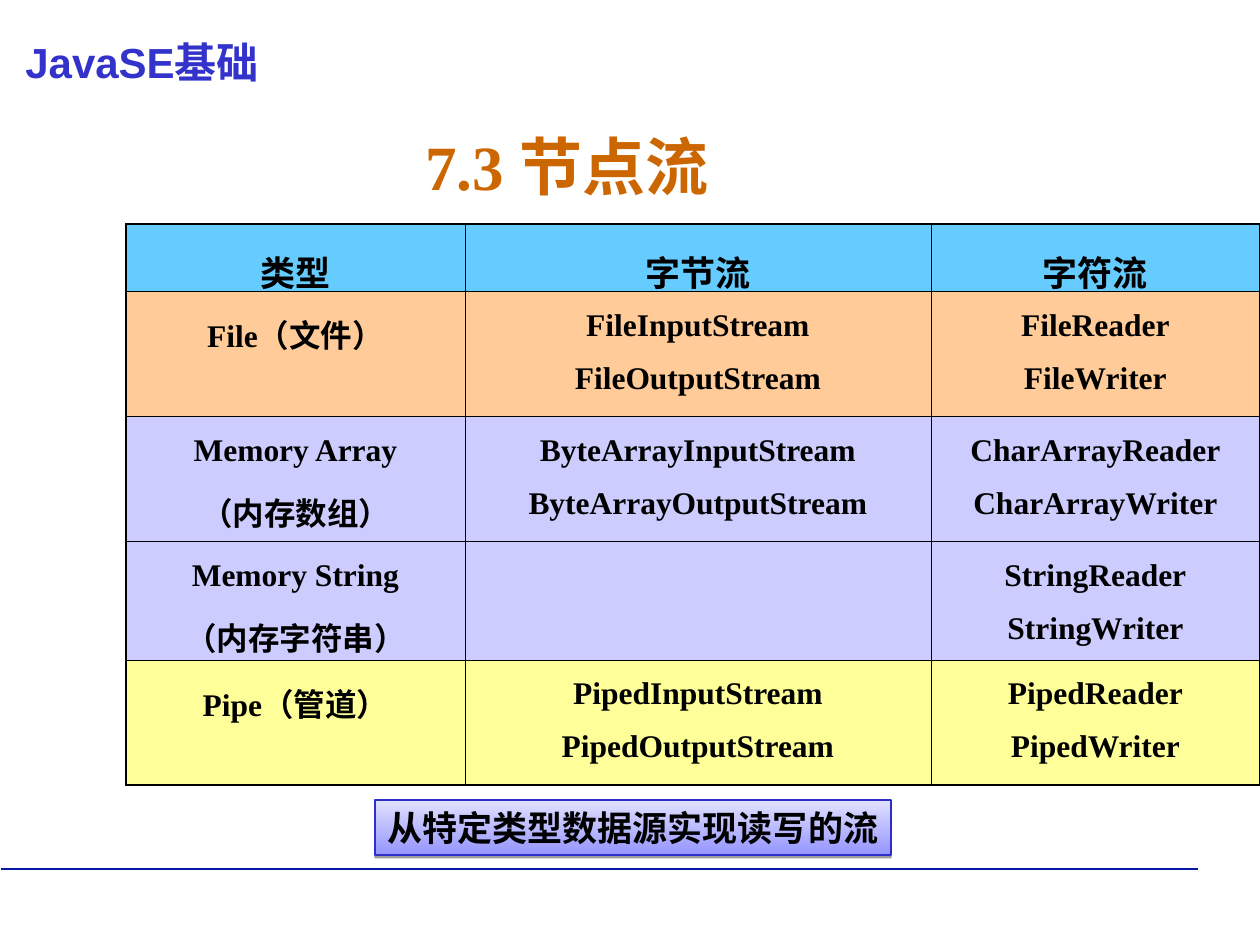
import dataclasses

import lxml.etree
import pptx
import pptx.dml.color
import pptx.enum.shapes
import pptx.enum.text
import pptx.oxml
import pptx.oxml.ns
import pptx.util

SCALE = 914400 / 126
SERIF, SANS = "Times New Roman", "Arial"
ALIGN = pptx.enum.text.PP_ALIGN
ANCHOR = pptx.enum.text.MSO_ANCHOR
COLORS = {
    "black": "000000", "blue": "3333CC", "rule": "061AAA", "title": "CC6600",
    "sky": "66CCFF", "peach": "FFCC99", "lilac": "CCCCFF", "lemon": "FFFF99",
    "deep": "9595FF", "pale": "E1E1FF", "edge": "2E2ECB",
}


@dataclasses.dataclass
class Box:
    left: int
    top: int
    width: int
    height: int

    def emu(self) -> list:
        return [px(n) for n in dataclasses.astuple(self)]


@dataclasses.dataclass
class Row:
    height: int
    fill: str
    size: int
    cells: list


COLS = [339, 466, 329]
ROWS = [
    Row(67, "sky", 20, ["类型", "字节流", "字符流"]),
    Row(125, "peach", 18, ["File（文件）", "FileInputStream\nFileOutputStream",
                           "FileReader\nFileWriter"]),
    Row(125, "lilac", 18, ["Memory Array\n（内存数组）",
                           "ByteArrayInputStream\nByteArrayOutputStream",
                           "CharArrayReader\nCharArrayWriter"]),
    Row(118, "lilac", 18, ["Memory String\n（内存字符串）", "",
                           "StringReader\nStringWriter"]),
    Row(125, "lemon", 18, ["Pipe（管道）", "PipedInputStream\nPipedOutputStream",
                           "PipedReader\nPipedWriter"]),
]


def px(count: int) -> int:
    return round(count * SCALE)


def rgb(name: str) -> pptx.dml.color.RGBColor:
    return pptx.dml.color.RGBColor.from_string(COLORS[name])


def write(frame, text: str, *, size: int, font: str = SERIF, color: str = "black",
          align=ALIGN.CENTER, lead: float = 1.0, gap: float = 0) -> None:
    for i, line in enumerate(text.split("\n")):
        para = frame.paragraphs[0] if i == 0 else frame.add_paragraph()
        para.alignment = align
        para.line_spacing = lead
        if i:
            para.space_before = pptx.util.Pt(gap)
        if line:
            para.add_run().text = line
        para.font.name, para.font.size, para.font.bold = font, pptx.util.Pt(size), True
        para.font.color.rgb = rgb(color)
        for run in para.runs:
            run.font.name, run.font.size, run.font.bold = font, pptx.util.Pt(size), True
            run.font.color.rgb = rgb(color)


def label(slide, box: Box, text: str, **form) -> None:
    frame = slide.shapes.add_textbox(*box.emu()).text_frame
    frame.word_wrap = True
    frame.vertical_anchor = ANCHOR.MIDDLE
    write(frame, text, **form)


def border(cell, outer: dict) -> None:
    props = cell._tc.get_or_add_tcPr()
    # Cell lines come before the fill in the schema
    for i, side in enumerate(("lnL", "lnR", "lnT", "lnB")):
        width = pptx.util.Pt(1.08 if outer[side] else 0.45)
        props.insert(i, pptx.oxml.parse_xml(
            f'<a:{side} {pptx.oxml.ns.nsdecls("a")} w="{width}"><a:solidFill>'
            f'<a:srgbClr val="{COLORS["black"]}"/></a:solidFill></a:{side}>'))


def grid(slide, box: Box) -> None:
    table = slide.shapes.add_table(len(ROWS), len(COLS), *box.emu()).table
    for c, width in enumerate(COLS):
        table.columns[c].width = px(width)
    for r, row in enumerate(ROWS):
        table.rows[r].height = px(row.height)
        for c, text in enumerate(row.cells):
            cell = table.cell(r, c)
            cell.fill.solid()
            cell.fill.fore_color.rgb = rgb(row.fill)
            border(cell, {"lnL": c == 0, "lnR": c == len(COLS) - 1,
                          "lnT": r == 0, "lnB": r == len(ROWS) - 1})
            write(cell.text_frame, text, size=row.size, lead=1.3, gap=4.5)


def rule(slide, left: int, right: int, top: int) -> None:
    line = slide.shapes.add_connector(pptx.enum.shapes.MSO_CONNECTOR.STRAIGHT,
                                      px(left), px(top), px(right), px(top))
    line.line.color.rgb = rgb("rule")
    line.line.width = pptx.util.Pt(1)
    lxml.etree.SubElement(line._element.spPr, pptx.oxml.ns.qn("a:effectLst"))


def badge(slide, box: Box, text: str) -> None:
    shape = slide.shapes.add_shape(pptx.enum.shapes.MSO_SHAPE.RECTANGLE, *box.emu())
    shape.fill.gradient()
    shape.fill.gradient_angle = 90
    for stop, name in zip(shape.fill.gradient_stops, ("deep", "pale")):
        stop.color.rgb = rgb(name)
    shape.line.color.rgb = rgb("edge")
    shape.line.width = pptx.util.Pt(0.75)
    # Thin shadow straight below
    shape.shadow.inherit = False
    glow = shape._element.spPr.find(pptx.oxml.ns.qn("a:effectLst"))
    glow.append(pptx.oxml.parse_xml(
        f'<a:outerShdw {pptx.oxml.ns.nsdecls("a")} blurRad="0" dist="{pptx.util.Pt(1.6)}" '
        f'dir="5400000" rotWithShape="0"><a:srgbClr val="{COLORS["black"]}">'
        '<a:alpha val="38000"/></a:srgbClr></a:outerShdw>'))
    shape.text_frame.word_wrap = False
    shape.text_frame.vertical_anchor = ANCHOR.MIDDLE
    write(shape.text_frame, text, size=20, font=SANS, align=ALIGN.LEFT)


def main() -> None:
    deck = pptx.Presentation()
    deck.slide_width, deck.slide_height = px(1260), px(945)
    slide = deck.slides.add_slide(deck.slide_layouts[6])

    # Frame of the course
    rule(slide, 1, 1198, 869)
    label(slide, Box(13, 30, 1162, 63), "JavaSE基础", size=24, font=SANS,
          color="blue", align=ALIGN.LEFT)

    # Title, table and summary
    label(slide, Box(0, 117, 1134, 97), "7.3 节点流", size=36, color="title")
    grid(slide, Box(126, 224, sum(COLS), sum(row.height for row in ROWS)))
    badge(slide, Box(375, 800, 516, 55), "从特定类型数据源实现读写的流")
    deck.save("out.pptx")


if __name__ == "__main__":
    main()
